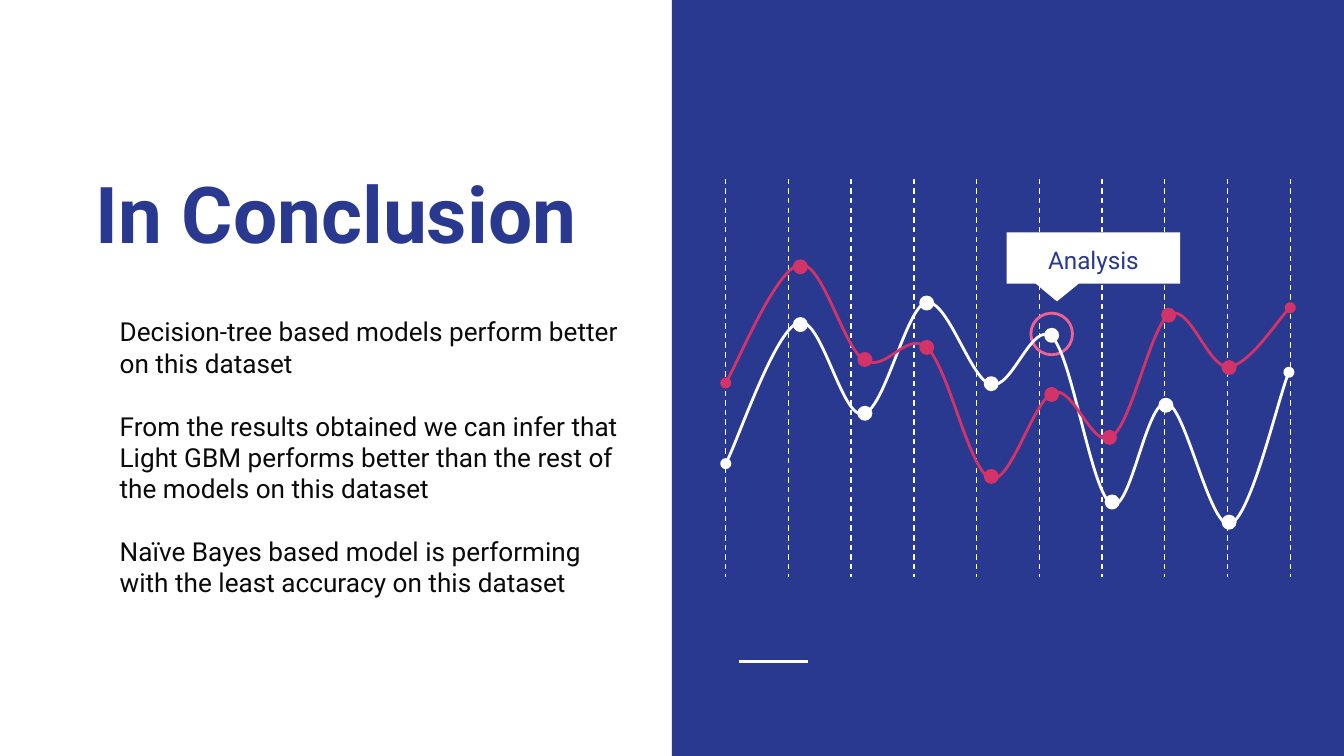
from dataclasses import dataclass

from lxml import etree
from pptx import Presentation
from pptx import util as u
from pptx.dml.color import RGBColor
from pptx.enum import dml, shapes, text
from pptx.oxml.ns import qn

NAVY = RGBColor(0x2A, 0x39, 0x90)
WHITE = RGBColor(0xFF, 0xFF, 0xFF)
CRIMSON = RGBColor(0xD2, 0x33, 0x69)
PINK = RGBColor(0xF0, 0x62, 0x92)
INK = RGBColor(0x0A, 0x0A, 0x0A)
SLIDE_WIDTH = 10
SLIDE_HEIGHT = SLIDE_WIDTH * 9 / 16
MARKER_SIZE = 0.09
Point = tuple[float, float]


@dataclass
class Series:
    color: RGBColor
    curve: list[Point]
    markers: list[Point]


@dataclass
class TextBlock:
    box: tuple[float, float, float, float]
    lines: list[str]
    font: dict
    paragraph: dict
    frame: dict


WHITE_SERIES = Series(
    WHITE,
    [(5.4, 3.45), (5.49, 3.28), (5.77, 2.46), (5.94, 2.4),
     (6.11, 2.34), (6.26, 3.11), (6.42, 3.08),
     (6.58, 3.06), (6.74, 2.29), (6.89, 2.25),
     (7.05, 2.22), (7.22, 2.82), (7.37, 2.86),
     (7.53, 2.91), (7.68, 2.37), (7.83, 2.51),
     (7.98, 2.66), (8.12, 3.67), (8.27, 3.75),
     (8.41, 3.83), (8.53, 2.97), (8.68, 3),
     (8.82, 3.02), (9, 3.93), (9.15, 3.9),
     (9.3, 3.86), (9.51, 2.96), (9.59, 2.77)],
    [(5.91, 2.37), (6.39, 3.03), (6.85, 2.21), (7.33, 2.81),
     (7.78, 2.45), (8.23, 3.69), (8.63, 2.97), (9.1, 3.84)],
)
CRIMSON_SERIES = Series(
    CRIMSON,
    [(5.4, 2.85), (5.49, 2.7), (5.78, 2), (5.95, 1.97),
     (6.12, 1.94), (6.27, 2.58), (6.43, 2.68),
     (6.59, 2.78), (6.75, 2.45), (6.9, 2.59),
     (7.06, 2.74), (7.21, 3.5), (7.37, 3.56),
     (7.52, 3.61), (7.69, 2.97), (7.84, 2.92),
     (7.99, 2.87), (8.13, 3.35), (8.27, 3.25),
     (8.42, 3.16), (8.56, 2.43), (8.7, 2.34),
     (8.85, 2.25), (8.99, 2.74), (9.14, 2.73),
     (9.29, 2.72), (9.52, 2.36), (9.6, 2.29)],
    [(5.91, 1.94), (6.39, 2.63), (6.85, 2.54), (7.33, 3.5),
     (7.78, 2.89), (8.21, 3.21), (8.65, 2.3), (9.1, 2.69)],
)
TITLE = TextBlock(
    (0.29, 0.32, 4.42, 1.71), ["In Conclusion"],
    {"size": u.Pt(42), "bold": True, "color": NAVY},
    {"alignment": text.PP_ALIGN.CENTER},
    {"vertical_anchor": text.MSO_ANCHOR.BOTTOM},
)
CALLOUT_LABEL = TextBlock(
    (7.49, 1.76, 1.29, 0.31), ["Analysis"],
    {"size": u.Pt(13), "color": NAVY},
    {"alignment": text.PP_ALIGN.CENTER, "line_spacing": 1.15},
    {"vertical_anchor": text.MSO_ANCHOR.MIDDLE},
)
FINDINGS = TextBlock(
    (0.29, 2.25, 4.42, 2.56),
    ["Decision-tree based models perform better on this dataset",
     "From the results obtained we can infer that Light GBM performs better "
     "than the rest of the models on this dataset",
     "Naïve Bayes based model is performing with the least accuracy on this dataset"],
    {"size": u.Pt(14), "color": INK},
    {"space_after": u.Pt(16.8)},
    {"vertical_anchor": text.MSO_ANCHOR.TOP, "margin_left": u.Inches(0.6)},
)


def set_values(target, values: dict) -> None:
    for name, value in values.items():
        setattr(target, name, value)


def style_shape(shape, fill: RGBColor | None, line: RGBColor | None = None) -> None:
    shape.shadow.inherit = False
    if fill is None:
        shape.fill.background()
    else:
        shape.fill.solid()
        shape.fill.fore_color.rgb = fill
    if line is None:
        shape.line.fill.background()
    else:
        shape.line.color.rgb = line
        shape.line.width = u.Pt(1.5)


def add_shape(slide, kind, box, fill: RGBColor | None, line: RGBColor | None = None):
    shape = slide.shapes.add_shape(kind, *map(u.Inches, box))
    style_shape(shape, fill, line)
    return shape


def add_line(slide, start: Point, end: Point, width: float, dash=None) -> None:
    connector = slide.shapes.add_connector(
        shapes.MSO_CONNECTOR.STRAIGHT, *map(u.Inches, start + end))
    connector.line.color.rgb = WHITE
    connector.line.width = u.Pt(width)
    if dash is not None:
        connector.line.dash_style = dash
    etree.SubElement(connector._element.spPr, qn("a:effectLst"))


def add_curve(slide, points: list[Point], color: RGBColor) -> None:
    start, *rest = [(u.Inches(x), u.Inches(y)) for x, y in points]
    builder = slide.shapes.build_freeform(*start, scale=1.0)
    builder.add_line_segments(rest, close=False)
    shape = builder.convert_to_shape()
    style_shape(shape, None, color)
    segments = list(shape._element.iter(qn("a:lnTo")))
    for first in range(0, len(segments), 3):
        curve = etree.Element(qn("a:cubicBezTo"))
        segments[first].addprevious(curve)
        for segment in segments[first:first + 3]:
            curve.append(segment[0])
            segment.getparent().remove(segment)
    outline = shape._element.spPr.find(qn("a:ln"))
    for end in ("a:headEnd", "a:tailEnd"):
        etree.SubElement(outline, qn(end), type="oval")


def add_series(slide, series: Series) -> None:
    add_curve(slide, series.curve, series.color)
    for left, top in series.markers:
        add_shape(slide, shapes.MSO_SHAPE.OVAL,
                  (left, top, MARKER_SIZE, MARKER_SIZE), series.color, series.color)


def add_text(slide, block: TextBlock) -> None:
    frame = slide.shapes.add_textbox(*map(u.Inches, block.box)).text_frame
    margins = {f"margin_{side}": u.Inches(0.1)
               for side in ("left", "right", "top", "bottom")}
    set_values(frame, {"word_wrap": True} | margins | block.frame)
    frame.text = "\n".join(block.lines)
    for paragraph in frame.paragraphs:
        set_values(paragraph, block.paragraph)
        for run in paragraph.runs:
            run.font.name = "Roboto"
            run.font.color.rgb = block.font["color"]
            set_values(run.font, {k: v for k, v in block.font.items() if k != "color"})


def main() -> None:
    presentation = Presentation()
    presentation.slide_width = u.Inches(SLIDE_WIDTH)
    presentation.slide_height = u.Inches(SLIDE_HEIGHT)
    slide = presentation.slides.add_slide(presentation.slide_layouts[6])

    add_shape(slide, shapes.MSO_SHAPE.RECTANGLE,
              (SLIDE_WIDTH / 2, 0, SLIDE_WIDTH / 2, SLIDE_HEIGHT), NAVY)
    add_line(slide, (5.5, 4.92), (6.01, 4.92), 1.5)
    for index in range(10):
        x = 5.4 + index * 4.2 / 9
        add_line(slide, (x, 1.33), (x, 4.29), 0.75, dml.MSO_LINE.DASH)
    add_shape(slide, shapes.MSO_SHAPE.OVAL, (7.67, 2.33, 0.31, 0.31), None, PINK)
    add_text(slide, TITLE)
    add_series(slide, WHITE_SERIES)
    callout = add_shape(slide, shapes.MSO_SHAPE.ROUNDED_RECTANGULAR_CALLOUT,
                        (7.49, 1.73, 1.29, 0.38), WHITE)
    for index, value in enumerate((-0.21, 0.85, 0)):
        callout.adjustments[index] = value
    add_series(slide, CRIMSON_SERIES)
    add_text(slide, CALLOUT_LABEL)
    add_text(slide, FINDINGS)
    presentation.save("out.pptx")


if __name__ == "__main__":
    main()
